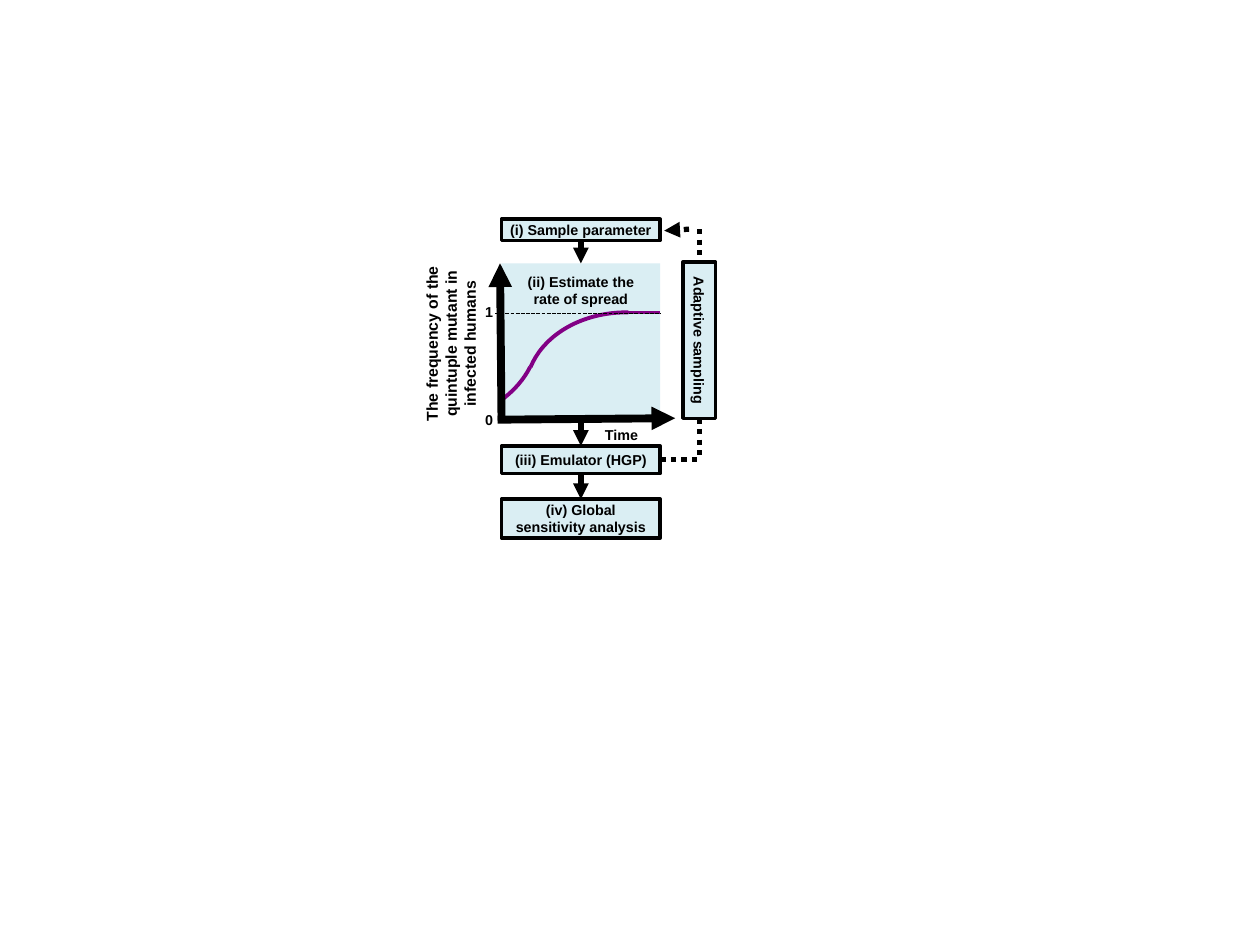
from dataclasses import dataclass
from typing import Optional

from lxml.etree import SubElement
from pptx import Presentation
from pptx.dml.color import RGBColor
from pptx.enum.dml import MSO_LINE
from pptx.enum.shapes import MSO_CONNECTOR, MSO_SHAPE
from pptx.enum.text import MSO_ANCHOR, PP_ALIGN
from pptx.oxml.ns import qn
from pptx.util import Cm, Pt


@dataclass(frozen=True)
class Theme:
    font: str = "Arial"
    ink: RGBColor = RGBColor(0x00, 0x00, 0x00)
    panel: RGBColor = RGBColor(0xDA, 0xEE, 0xF3)
    curve: RGBColor = RGBColor(0x82, 0x00, 0x85)
    label_size: float = 8.2
    axis_title_size: float = 9
    border: float = 2
    curve_width: float = 2.25
    flow_width: float = 3
    axis_width: float = 4.5
    guide_width: float = 0.75


@dataclass(frozen=True)
class Box:
    text: str
    left: float
    top: float
    width: float
    height: float
    rotation: float = 0
    side_inset: float = 0.25
    top_inset: float = 0
    anchor: MSO_ANCHOR = MSO_ANCHOR.MIDDLE
    bordered: bool = True


@dataclass(frozen=True)
class Label:
    text: str
    left: float
    top: float
    width: float
    height: float
    size: float
    rotation: float = 0
    gap: float = 0


@dataclass(frozen=True)
class Arc:
    left: float
    top: float
    width: float
    height: float
    rotation: float
    start: float
    end: float


@dataclass(frozen=True)
class Line:
    x1: float
    y1: float
    x2: float
    y2: float
    width: float
    color: RGBColor
    dash: Optional[MSO_LINE] = None
    arrow: bool = False


THEME = Theme()
COLUMN_LEFT, COLUMN_WIDTH = 10.11, 3.2
COLUMN_RIGHT = COLUMN_LEFT + COLUMN_WIDTH
COLUMN_MIDDLE = COLUMN_LEFT + COLUMN_WIDTH / 2
LOOP_X, LOOP_TOP, LOOP_BOTTOM = 14.1, 4.62, 9.27

STEPS = [
    Box("(i) Sample parameter", COLUMN_LEFT, 4.42, COLUMN_WIDTH, 0.43, side_inset=0.15),
    Box("(ii) Estimate the rate of spread", COLUMN_LEFT, 5.31, COLUMN_WIDTH, 3.1,
        top_inset=0.19, anchor=MSO_ANCHOR.TOP, bordered=False),
    Box("(iii) Emulator (HGP)", COLUMN_LEFT, 8.99, COLUMN_WIDTH, 0.56),
    Box("(iv) Global sensitivity analysis", COLUMN_LEFT, 10.06, COLUMN_WIDTH, 0.79),
]
ADAPTIVE_SAMPLING = Box("Adaptive sampling", 12.52, 6.53, 3.15, 0.66, rotation=90)
CURVE_ARCS = [
    Arc(6.48, 5.11, 4.37, 3.43, 174.7, 188.04, 203.41),
    Arc(10.59, 6.3, 4.22, 3.35, 4.3, 165.3, 209),
]
PLOT_LINES = [
    Line(10.03, 8.46, 13.61, 8.43, THEME.axis_width, THEME.ink, arrow=True),
    Line(10.11, 8.48, 10.08, 5.31, THEME.axis_width, THEME.ink, arrow=True),
    Line(12.65, 6.3, COLUMN_RIGHT, 6.3, THEME.curve_width, THEME.curve),
    Line(9.98, 6.32, COLUMN_RIGHT, 6.32, THEME.guide_width, THEME.ink, MSO_LINE.SQUARE_DOT),
]
LOOP_LINES = [
    Line(LOOP_X, LOOP_TOP, LOOP_X, LOOP_BOTTOM, THEME.flow_width, THEME.ink,
         MSO_LINE.ROUND_DOT),
    Line(13.89, LOOP_TOP, 13.39, 4.65, THEME.flow_width, THEME.ink,
         MSO_LINE.ROUND_DOT, arrow=True),
]
LABELS = [
    Label("Time", 8.81, 8.46, 7.44, 0.61, THEME.label_size),
    Label("The frequency of the quintuple mutant in infected humans",
          7.01, 6.22, 4.17, 1.42, THEME.axis_title_size, rotation=270),
    Label("1\n0", 9.53, 5.99, 0.64, 2.84, THEME.label_size, gap=51.7),
]


def style_text(text_frame, text: str, size: float, gap: float = 0) -> None:
    text_frame.word_wrap = True
    text_frame.text = text
    for paragraph in text_frame.paragraphs:
        paragraph.alignment = PP_ALIGN.CENTER
        paragraph.space_after = Pt(gap)
        for run in paragraph.runs:
            run.font.name = THEME.font
            run.font.size = Pt(size)
            run.font.bold = True
            run.font.color.rgb = THEME.ink


def draw_box(slide, box: Box):
    shape = slide.shapes.add_shape(
        MSO_SHAPE.RECTANGLE, Cm(box.left), Cm(box.top), Cm(box.width), Cm(box.height))
    shape.shadow.inherit = False
    shape.rotation = box.rotation
    shape.fill.solid()
    shape.fill.fore_color.rgb = THEME.panel
    if box.bordered:
        shape.line.color.rgb = THEME.ink
        shape.line.width = Pt(THEME.border)
    else:
        shape.line.fill.background()
    text_frame = shape.text_frame
    text_frame.margin_left = text_frame.margin_right = Cm(box.side_inset)
    text_frame.margin_top, text_frame.margin_bottom = Cm(box.top_inset), Cm(0)
    text_frame.vertical_anchor = box.anchor
    style_text(text_frame, box.text, THEME.label_size)
    return shape


def draw_label(slide, label: Label) -> None:
    shape = slide.shapes.add_textbox(
        Cm(label.left), Cm(label.top), Cm(label.width), Cm(label.height))
    shape.rotation = label.rotation
    style_text(shape.text_frame, label.text, label.size, label.gap)


def draw_arc(slide, arc: Arc) -> None:
    shape = slide.shapes.add_shape(
        MSO_SHAPE.ARC, Cm(arc.left), Cm(arc.top), Cm(arc.width), Cm(arc.height))
    shape.shadow.inherit = False
    shape.adjustments[0] = arc.start
    shape.adjustments[1] = arc.end
    shape.rotation = arc.rotation
    shape._element.spPr.find(qn("a:xfrm")).set("flipH", "1")
    shape.fill.background()
    shape.line.color.rgb = THEME.curve
    shape.line.width = Pt(THEME.curve_width)


def draw_line(slide, line: Line):
    connector = slide.shapes.add_connector(
        MSO_CONNECTOR.STRAIGHT, Cm(line.x1), Cm(line.y1), Cm(line.x2), Cm(line.y2))
    connector.line.color.rgb = line.color
    connector.line.width = Pt(line.width)
    if line.dash is not None:
        connector.line.dash_style = line.dash
    if line.arrow:
        SubElement(connector.line._get_or_add_ln(), qn("a:tailEnd"), type="triangle")
    SubElement(connector._element.spPr, qn("a:effectLst"))
    return connector


def main() -> None:
    presentation = Presentation()
    presentation.slide_width, presentation.slide_height = Cm(25.4), Cm(19.05)
    slide = presentation.slides.add_slide(presentation.slide_layouts[6])

    steps = [draw_box(slide, box) for box in STEPS]
    for arc in CURVE_ARCS:
        draw_arc(slide, arc)
    for line in PLOT_LINES + LOOP_LINES:
        draw_line(slide, line)
    loop_start = draw_line(slide, Line(
        COLUMN_RIGHT, LOOP_BOTTOM, LOOP_X, LOOP_BOTTOM,
        THEME.flow_width, THEME.ink, MSO_LINE.ROUND_DOT))
    loop_start.begin_connect(steps[2], 3)
    for index, (upper, lower) in enumerate(zip(STEPS, STEPS[1:])):
        arrow = draw_line(slide, Line(
            COLUMN_MIDDLE, upper.top + upper.height, COLUMN_MIDDLE, lower.top,
            THEME.flow_width, THEME.ink, arrow=True))
        arrow.begin_connect(steps[index], 2)
        arrow.end_connect(steps[index + 1], 0)
    draw_box(slide, ADAPTIVE_SAMPLING)
    for label in LABELS:
        draw_label(slide, label)
    presentation.save("out.pptx")


if __name__ == "__main__":
    main()
